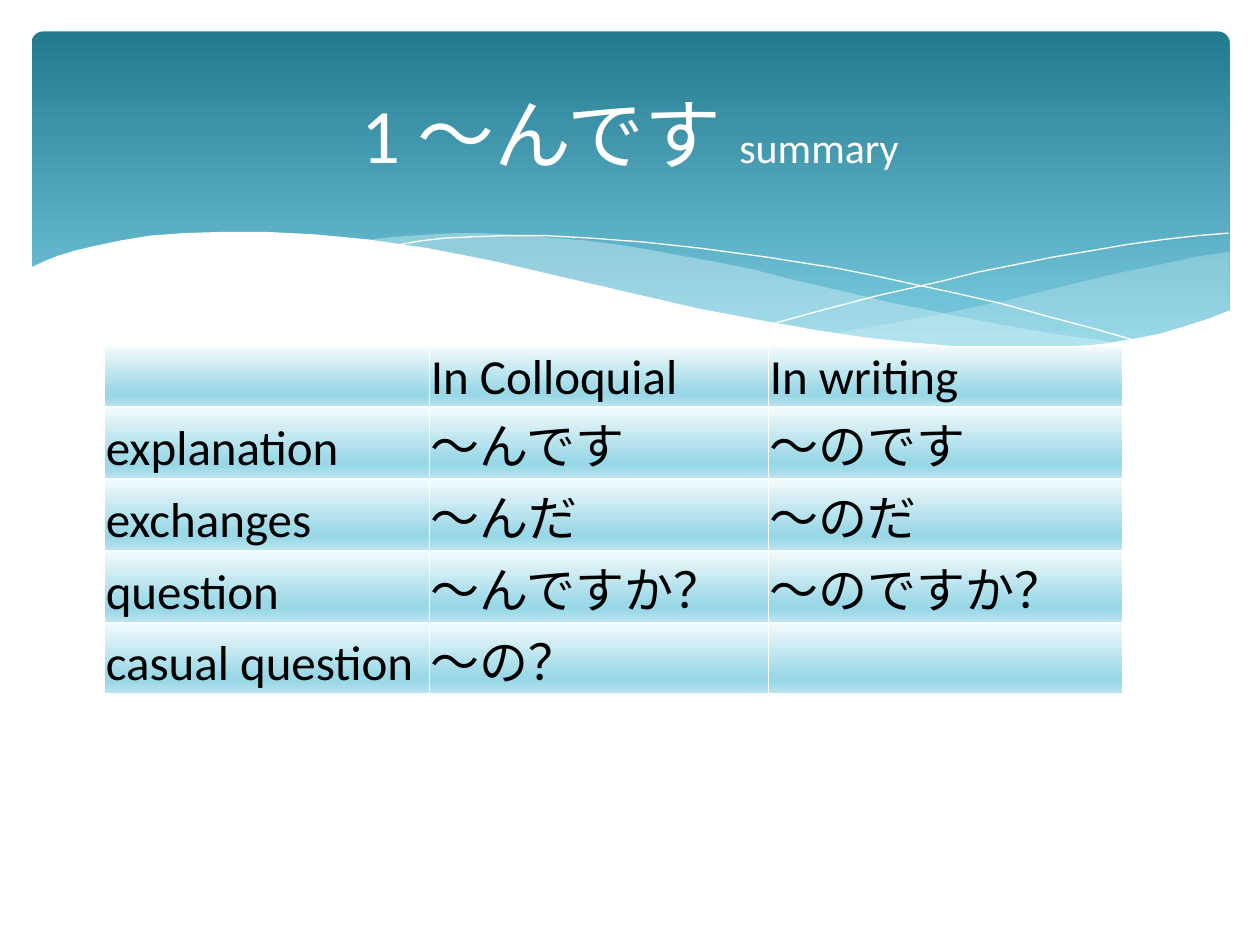
import pptx
import pptx.dml.color
import pptx.enum.shapes
import pptx.enum.text
import pptx.oxml
import pptx.oxml.ns
import pptx.util
from lxml import etree

Inches = pptx.util.Inches
Pt = pptx.util.Pt
qn = pptx.oxml.ns.qn

COLORS = {
    "white": "FFFFFF", "black": "000000", "foam": "DEF5FA",
    "teal": "227A8F", "aqua": "7ACBE0",
    "pale": "F4FBFC", "sky": "9BD8E7", "mist": "BCE5EF",
}
BANNER_STOPS = [(0, "teal"), (90, "aqua")]
CELL_STOPS = [(0, "pale"), (74, "sky"), (83, "sky"), (100, "mist")]

TITLE_FORMAT = {"size": Pt(44), "name": "Calibri"}
SUBTITLE_FORMAT = {"size": Pt(24), "name": "Calibri"}
CELL_FORMAT = {"size": Pt(28), "name": "Calibri"}
FRAME_FORMAT = {"word_wrap": True, "vertical_anchor": pptx.enum.text.MSO_ANCHOR.MIDDLE}
CELL_LAYOUT = {
    "margin_left": Inches(0.01), "margin_right": Inches(0.01),
    "margin_top": Inches(0.01), "margin_bottom": 0,
    "vertical_anchor": pptx.enum.text.MSO_ANCHOR.BOTTOM,
}

# Wave points are in hundredths of an inch.
RIGHT_WAVE = [
    (975, 200), (948, 204), (921, 210), (891, 216), (861, 223), (805, 237), (753, 248),
    (706, 257), (661, 265), (691, 269), (719, 272), (745, 275), (769, 277), (803, 278),
    (835, 277), (863, 275), (889, 272), (913, 267), (935, 262), (949, 257), (963, 252),
    (976, 247), (976, 200),
]
MIDDLE_WAVE = [
    (893, 273), (866, 269), (837, 265), (807, 260), (775, 254), (741, 247), (706, 240),
    (668, 231), (629, 222), (598, 214), (569, 208), (541, 203), (514, 198), (489, 194),
    (465, 191), (442, 189), (420, 187), (399, 186), (380, 185), (361, 185), (344, 186),
    (313, 188), (286, 191), (323, 196), (362, 203), (404, 211), (449, 222), (491, 232),
    (530, 240), (566, 248), (601, 255), (634, 261), (665, 266), (695, 270), (722, 274),
    (748, 276), (773, 277), (796, 278), (828, 278), (857, 277), (876, 275),
]
FALLING_LINE = [
    (309, 195), (318, 194), (335, 191), (353, 189), (374, 188), (401, 187), (433, 187),
    (469, 189), (510, 192), (556, 197), (608, 204), (665, 213), (695, 219), (727, 226),
    (760, 233), (795, 241), (831, 251), (869, 261), (907, 272),
]
RISING_LINE = [
    (613, 257), (653, 246), (695, 235), (748, 223), (776, 216), (806, 210), (836, 204),
    (866, 199), (895, 194), (924, 190), (951, 187), (975, 185),
]
WHITE_WAVE = [
    (977, 246), (959, 253), (940, 259), (920, 265), (899, 269), (875, 273), (850, 275),
    (823, 277), (793, 276), (761, 275), (726, 272), (688, 268), (648, 262), (603, 254),
    (555, 245), (503, 233), (447, 220), (391, 207), (340, 197), (292, 190), (250, 186),
    (211, 184), (177, 184), (146, 185), (119, 187), (95, 191), (76, 195), (59, 199),
    (46, 203), (36, 207), (23, 213), (23, 329), (977, 329),
]

TABLE_ROWS = [
    ["", "In Colloquial", "In writing"],
    ["explanation", "～んです", "～のです"],
    ["exchanges", "～んだ", "～のだ"],
    ["question", "～んですか？", "～のですか？"],
    ["casual question", "～の？", ""],
]
COLUMN_WIDTHS = [2.58, 2.69, 2.81]
ROW_HEIGHTS = [0.48] + [0.57] * 4


def rgb(name):
    return pptx.dml.color.RGBColor.from_string(COLORS[name])


def apply_format(target, values):
    for attribute, value in values.items():
        setattr(target, attribute, value)


def add_run(paragraph, text, values, color):
    run = paragraph.add_run()
    run.text = text
    apply_format(run.font, values)
    run.font.color.rgb = rgb(color)


def fill_gradient(fill, element, stops):
    fill.gradient()
    fill.gradient_angle = 270
    stop_list = next(element.iter(qn("a:gsLst")))
    for stop in list(stop_list):
        stop_list.remove(stop)
    for position, color in stops:
        stop = etree.SubElement(stop_list, qn("a:gs"), pos=str(position * 1000))
        etree.SubElement(stop, qn("a:srgbClr"), val=COLORS[color])


def add_banner(slide):
    shape = slide.shapes.add_shape(
        pptx.enum.shapes.MSO_SHAPE.ROUNDED_RECTANGLE,
        Inches(0.25), Inches(0.25), Inches(9.51), Inches(2.7))
    shape.adjustments[0] = 0.034
    shape.shadow.inherit = False
    shape.line.fill.background()
    fill_gradient(shape.fill, shape.fill._xPr, BANNER_STOPS)


def add_curve(slide, points, closed):
    builder = slide.shapes.build_freeform(*points[0], scale=Inches(0.01))
    builder.add_line_segments(points[1:], close=closed)
    shape = builder.convert_to_shape()
    shape.shadow.inherit = False
    return shape


def add_wave(slide, points, color, opacity=100):
    shape = add_curve(slide, points, True)
    shape.line.fill.background()
    shape.fill.solid()
    shape.fill.fore_color.rgb = rgb(color)
    if opacity < 100:
        color_element = next(shape.fill._xPr.iter(qn("a:srgbClr")))
        etree.SubElement(color_element, qn("a:alpha"), val=str(opacity * 1000))


def add_wave_line(slide, points):
    shape = add_curve(slide, points, False)
    shape.fill.background()
    shape.line.color.rgb = rgb("white")
    shape.line.width = Pt(0)


def add_title(slide):
    box = slide.shapes.add_textbox(Inches(0.5), Inches(0.37), Inches(9), Inches(1.37))
    apply_format(box.text_frame, FRAME_FORMAT)
    paragraph = box.text_frame.paragraphs[0]
    paragraph.alignment = pptx.enum.text.PP_ALIGN.CENTER
    add_run(paragraph, "1 ～んです ", TITLE_FORMAT, "white")
    add_run(paragraph, "summary", SUBTITLE_FORMAT, "white")


def style_cell(cell):
    apply_format(cell, CELL_LAYOUT)
    properties = cell._tc.get_or_add_tcPr()
    for side in ("a:lnL", "a:lnR", "a:lnT", "a:lnB"):
        border = etree.SubElement(properties, qn(side), w=str(Pt(1)))
        solid = etree.SubElement(border, qn("a:solidFill"))
        etree.SubElement(solid, qn("a:srgbClr"), val=COLORS["white"])
    fill_gradient(cell.fill, properties, CELL_STOPS)


def add_summary_table(slide):
    frame = slide.shapes.add_table(
        len(TABLE_ROWS), len(COLUMN_WIDTHS), Inches(0.83), Inches(2.75),
        Inches(sum(COLUMN_WIDTHS)), Inches(sum(ROW_HEIGHTS)))
    table = frame.table
    for column, width in zip(table.columns, COLUMN_WIDTHS):
        column.width = Inches(width)
    for row, height, texts in zip(table.rows, ROW_HEIGHTS, TABLE_ROWS):
        row.height = Inches(height)
        for cell, text in zip(row.cells, texts):
            style_cell(cell)
            if text:
                add_run(cell.text_frame.paragraphs[0], text, CELL_FORMAT, "black")


def main():
    presentation = pptx.Presentation()
    presentation.slide_width = Inches(10)
    presentation.slide_height = Inches(7.5)
    slide = presentation.slides.add_slide(presentation.slide_layouts[6])
    add_banner(slide)
    add_wave(slide, RIGHT_WAVE, "foam", 29)
    add_wave(slide, MIDDLE_WAVE, "foam", 40)
    add_wave_line(slide, FALLING_LINE)
    add_wave_line(slide, RISING_LINE)
    add_wave(slide, WHITE_WAVE, "white")
    add_title(slide)
    add_summary_table(slide)
    presentation.save("out.pptx")


if __name__ == "__main__":
    main()
